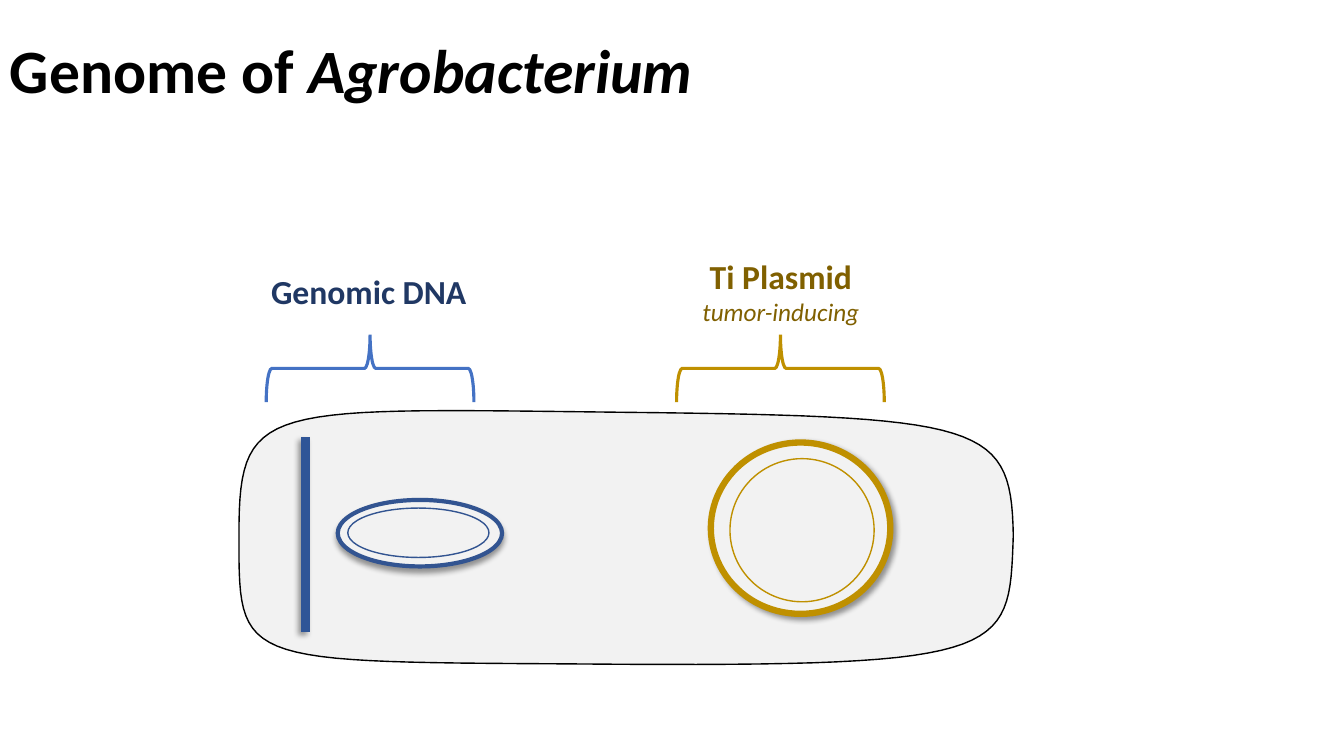
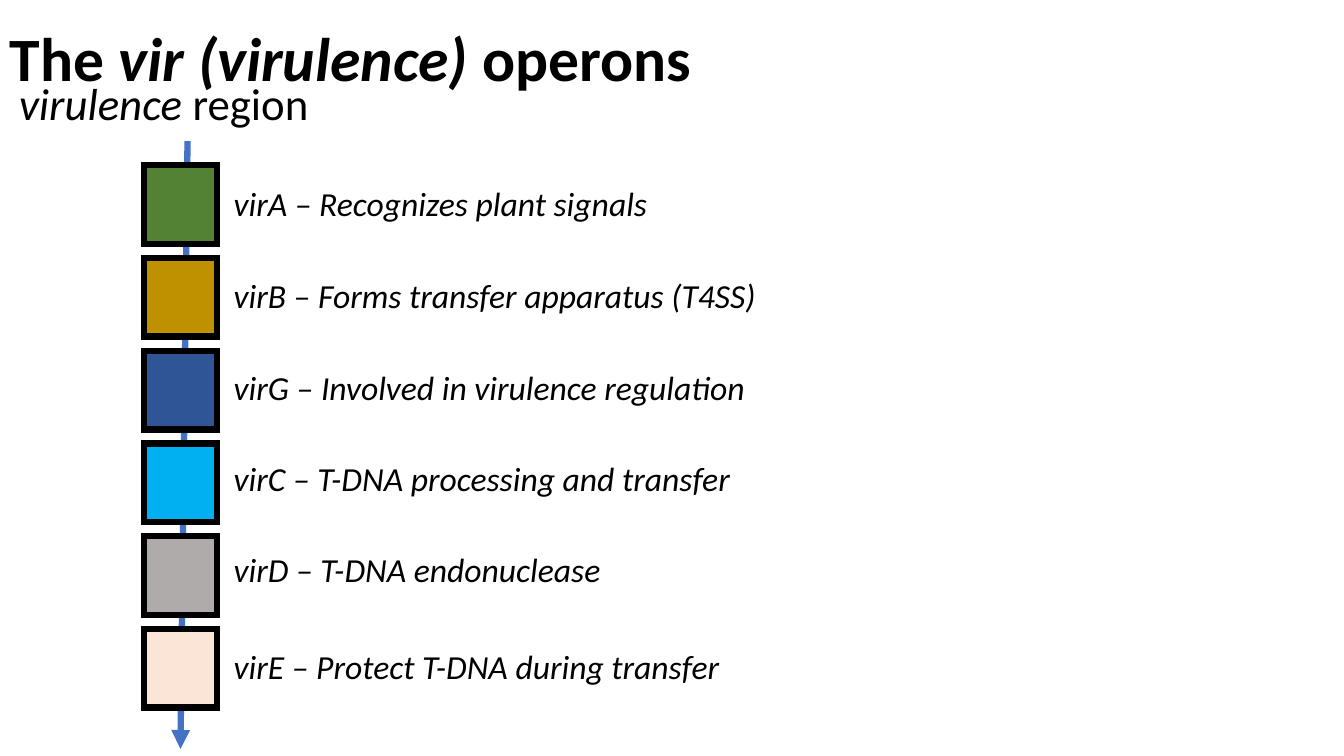
from lxml.etree import SubElement
from pptx import Presentation
from pptx.dml.color import RGBColor
from pptx.enum.shapes import MSO_CONNECTOR, MSO_SHAPE
from pptx.enum.text import MSO_ANCHOR, PP_ALIGN
from pptx.oxml.ns import qn
from pptx.util import Emu, Pt

PX = 9144  # 100 px to the inch
SLIDE_SIZE = (1333, 750)
TITLE_WIDTH = 1150
FONT = "Calibri"
COLORS = {
    "black": "000000", "cell": "F2F2F2", "brace": "4472C4",
    "ring": "325491", "navy": "2F5597", "navy text": "203864",
    "gold": "BF9000", "gold text": "806000", "green": "548235",
    "sky": "00B0F0", "gray": "AFABAB", "peach": "FBE5D6",
}

# Text is a list of paragraphs; a paragraph is a list of (words, size, style).
GENOME_TITLE = [[("Genome of ", 44, "b"), ("Agrobacterium", 44, "bi")]]
OPERON_TITLE = [[("The ", 44, "b"), ("vir (virulence)", 44, "bi"), (" operons", 44, "b")]]
REGION_LABEL = [[("virulence ", 32, "i"), ("region", 32, "")]]
GENOMIC_LABEL = [[("Genomic DNA", 24, "b")]]
PLASMID_LABEL = [[("Ti Plasmid", 24, "b")], [("tumor-inducing", 18, "i")]]

# Start of the cell outline, then curves of two control points and an end.
CELL_START = (237, 531)
CELL_CURVES = [
    ((237, 398), (259, 405), (618, 409)),
    ((977, 413), (1003, 420), (1005, 531)),
    ((1001, 646), (1004, 661), (619, 659)),
    ((234, 656), (237, 665), (237, 531)),
]
CURVE_STEPS = 30

# box, colour, line width, shadow direction (None for no shadow)
RINGS = [
    ((335, 496, 163, 66), "ring", 3, 90),
    ((345, 504, 140, 49), "ring", 1, None),
    ((705, 439, 178, 170), "gold", 4.5, 45),
    ((724, 455, 143, 142), "gold", 1, None),
]
# left edge, colour
BRACES = [(264, "brace"), (671, "gold")]
BRACE_TOP, BRACE_WIDTH, BRACE_HEIGHT = 332, 206, 67

# square colour, label, label top
OPERONS = [
    ("green", "virA – Recognizes plant signals", 177),
    ("gold", "virB – Forms transfer apparatus (T4SS)", 268),
    ("navy", "virG – Involved in virulence regulation", 359),
    ("sky", "virC – T-DNA processing and transfer", 449),
    ("gray", "virD – T-DNA endonuclease", 540),
    ("peach", "virE – Protect T-DNA during transfer", 636),
]
SQUARE_LEFT, SQUARE_TOP, SQUARE_WIDTH, SQUARE_HEIGHT = 143, 164, 72, 78
SQUARE_PITCH = 92


def emu(*lengths):
    return [Emu(round(length * PX)) for length in lengths]


def rgb(name):
    return RGBColor.from_string(COLORS[name])


def add_text(page, box, paragraphs, color="black", align=PP_ALIGN.LEFT):
    frame = page.shapes.add_textbox(*emu(*box)).text_frame
    frame.word_wrap = True
    for index, spans in enumerate(paragraphs):
        paragraph = frame.paragraphs[0] if index == 0 else frame.add_paragraph()
        paragraph.alignment = align
        for words, size, style in spans:
            span = paragraph.add_run()
            span.text = words
            span.font.name = FONT
            span.font.size = Pt(size)
            span.font.bold = "b" in style
            span.font.italic = "i" in style
            span.font.color.rgb = rgb(color)
    return frame


def add_title(page, paragraphs, height):
    frame = add_text(page, (0, 0, TITLE_WIDTH, height), paragraphs)
    frame.vertical_anchor = MSO_ANCHOR.MIDDLE
    frame.paragraphs[0].line_spacing = 0.9


def add_shadow(effects, direction):
    shadow = SubElement(effects, qn("a:outerShdw"), blurRad=str(Pt(4)), dist=str(Pt(3)),
                        dir=str(direction * 60000), algn="t", rotWithShape="0")
    color = SubElement(shadow, qn("a:srgbClr"), val=COLORS["black"])
    SubElement(color, qn("a:alpha"), val="40000")


def paint(shape, fill, line, width, shadow=None):
    if fill:
        shape.fill.solid()
        shape.fill.fore_color.rgb = rgb(fill)
    else:
        shape.fill.background()
    shape.line.color.rgb = rgb(line)
    shape.line.width = Pt(width)
    SubElement(shape.line._get_or_add_ln(), qn("a:miter"), lim="800000")
    shape.shadow.inherit = False
    if shadow is not None:
        add_shadow(shape._element.spPr.find(qn("a:effectLst")), shadow)


def add_line(page, start, end, color, width, shadow=None, arrow=False):
    line = page.shapes.add_connector(MSO_CONNECTOR.STRAIGHT, *emu(*start, *end))
    line.line.color.rgb = rgb(color)
    line.line.width = Pt(width)
    if arrow:
        SubElement(line.line._get_or_add_ln(), qn("a:tailEnd"), type="triangle")
    effects = SubElement(line._element.spPr, qn("a:effectLst"))
    if shadow is not None:
        add_shadow(effects, shadow)


def curve_points(start, curves):
    """Points along a chain of cubic Bezier curves, in EMU."""
    points = []
    for first, second, end in curves:
        for step in range(1, CURVE_STEPS + 1):
            t = step / CURVE_STEPS
            weights = ((1 - t) ** 3, 3 * t * (1 - t) ** 2, 3 * t * t * (1 - t), t ** 3)
            corners = (start, first, second, end)
            points.append(emu(*(sum(w * c[axis] for w, c in zip(weights, corners))
                                for axis in (0, 1))))
        start = end
    return points


def add_cell(page):
    outline = page.shapes.build_freeform(*emu(*CELL_START))
    outline.add_line_segments(curve_points(CELL_START, CELL_CURVES), close=True)
    paint(outline.convert_to_shape(), "cell", "black", 1)


def add_brace(page, left, color):
    """A left brace turned to point up; its own box is swapped about the centre."""
    shift = (BRACE_WIDTH - BRACE_HEIGHT) / 2
    box = emu(left + shift, BRACE_TOP - shift, BRACE_HEIGHT, BRACE_WIDTH)
    brace = page.shapes.add_shape(MSO_SHAPE.LEFT_BRACE, *box)
    brace.rotation = 90
    paint(brace, None, color, 2.25)


def build_genome(page):
    add_title(page, GENOME_TITLE, 145)
    add_cell(page)
    for box, color, width, shadow in RINGS:
        ring = page.shapes.add_shape(MSO_SHAPE.OVAL, *emu(*box))
        paint(ring, "cell", color, width, shadow)
    for left, color in BRACES:
        add_brace(page, left, color)
    add_text(page, (259, 264, 220, 91), GENOMIC_LABEL, "navy text")
    add_text(page, (683, 249, 183, 111), PLASMID_LABEL, "gold text", PP_ALIGN.CENTER)
    add_line(page, (303, 434), (303, 627), "navy", 6, shadow=135)


def build_operons(page):
    add_line(page, (186, 140), (179, 743), "brace", 4.5, arrow=True)
    add_title(page, OPERON_TITLE, 123)
    add_text(page, (9, 70, 381, 64), REGION_LABEL)
    for index, (color, label, label_top) in enumerate(OPERONS):
        top = SQUARE_TOP + index * SQUARE_PITCH
        box = emu(SQUARE_LEFT, top, SQUARE_WIDTH, SQUARE_HEIGHT)
        paint(page.shapes.add_shape(MSO_SHAPE.RECTANGLE, *box), color, "black", 4.5)
        add_text(page, (222, label_top, 583, 50), [[(label, 24, "i")]])


def main():
    deck = Presentation()
    deck.slide_width, deck.slide_height = emu(*SLIDE_SIZE)
    for build in (build_genome, build_operons):
        build(deck.slides.add_slide(deck.slide_layouts[6]))
    deck.save("out.pptx")


if __name__ == "__main__":
    main()
